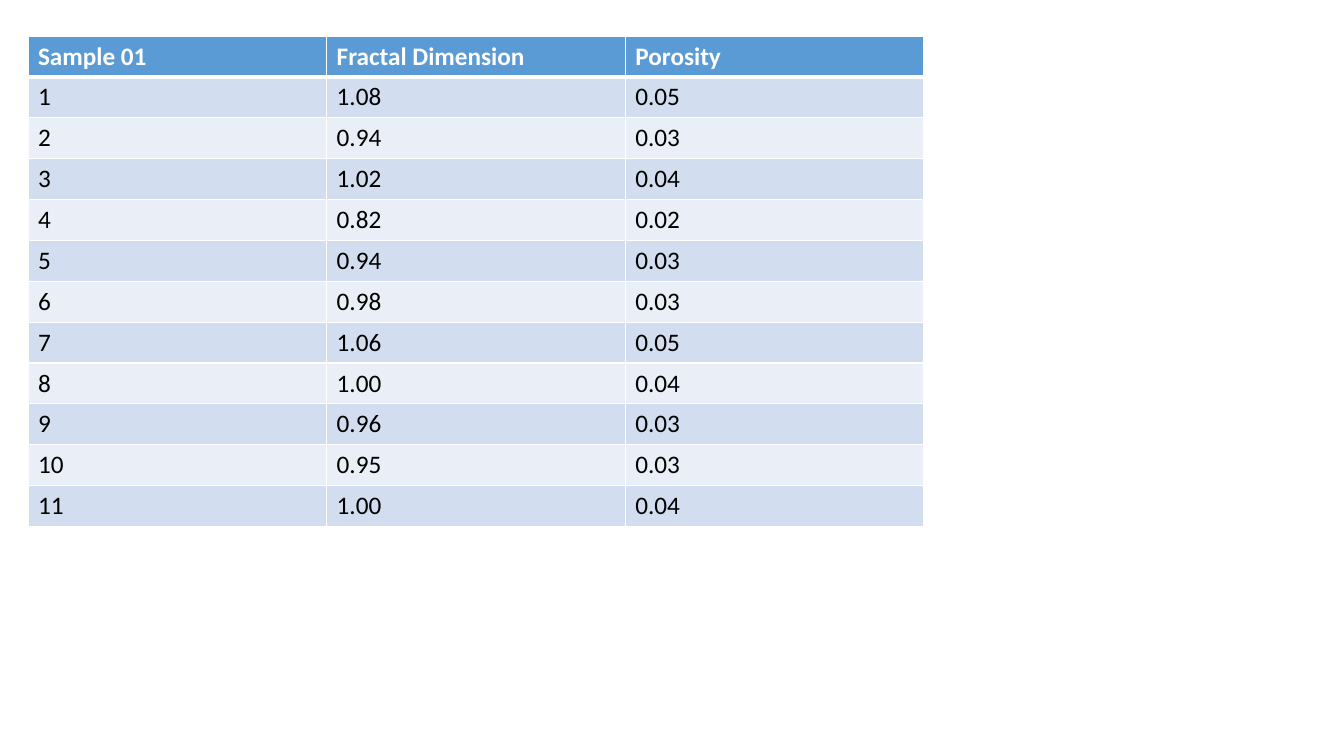
from dataclasses import dataclass
from lxml.etree import SubElement
from pptx import Presentation
from pptx.dml.color import RGBColor
from pptx.oxml.ns import qn
from pptx.util import Pt

SCALE = 914400 / 100.8


@dataclass(frozen=True)
class Theme:
    font: str = "Calibri"
    size: int = 18
    head: str = "5B9BD5"
    bands: tuple = ("D2DEEF", "EAEFF7")
    light: str = "FFFFFF"
    dark: str = "000000"


THEME = Theme()

HEADS = ("Sample 01", "Fractal Dimension", "Porosity")
VALUES = (
    ("1.08", "0.05"), ("0.94", "0.03"), ("1.02", "0.04"), ("0.82", "0.02"),
    ("0.94", "0.03"), ("0.98", "0.03"), ("1.06", "0.05"), ("1.00", "0.04"),
    ("0.96", "0.03"), ("0.95", "0.03"), ("1.00", "0.04"),
)


def px(count):
    return round(count * SCALE)


def add_edges(cell, below):
    """Draw the cell borders; they must come before the fill."""
    props = cell._tc.get_or_add_tcPr()
    for side, width in (("L", 1), ("R", 1), ("T", 1), ("B", below)):
        line = SubElement(props, qn(f"a:ln{side}"), w=str(Pt(width)))
        fill = SubElement(line, qn("a:solidFill"))
        SubElement(fill, qn("a:srgbClr"), val=THEME.light)


def style_cell(cell, text, fill, color, bold, below):
    add_edges(cell, below)
    cell.fill.solid()
    cell.fill.fore_color.rgb = RGBColor.from_string(fill)
    run = cell.text_frame.paragraphs[0].add_run()
    run.text = text
    font = run.font
    font.name, font.size, font.bold = THEME.font, Pt(THEME.size), bold
    font.color.rgb = RGBColor.from_string(color)


def add_samples(slide, left, top, width, height):
    rows = [HEADS] + [(str(n), *pair) for n, pair in enumerate(VALUES, 1)]
    frame = slide.shapes.add_table(
        len(rows), len(HEADS), px(left), px(top), px(width), px(height))
    table = frame.table

    # Equal columns and rows
    for col in table.columns:
        col.width = px(width / len(HEADS))
    for row in table.rows:
        row.height = px(height / len(rows))

    # Header, then banded rows
    for r, row in enumerate(rows):
        if r == 0:
            look = THEME.head, THEME.light, True, 3
        else:
            look = THEME.bands[(r - 1) % 2], THEME.dark, False, 1
        for c, text in enumerate(row):
            style_cell(table.cell(r, c), text, *look)


# Slide
deck = Presentation()
deck.slide_width, deck.slide_height = px(1344), px(756)
slide = deck.slides.add_slide(deck.slide_layouts[6])
add_samples(slide, 28, 36, 896, 490)
deck.save("out.pptx")
